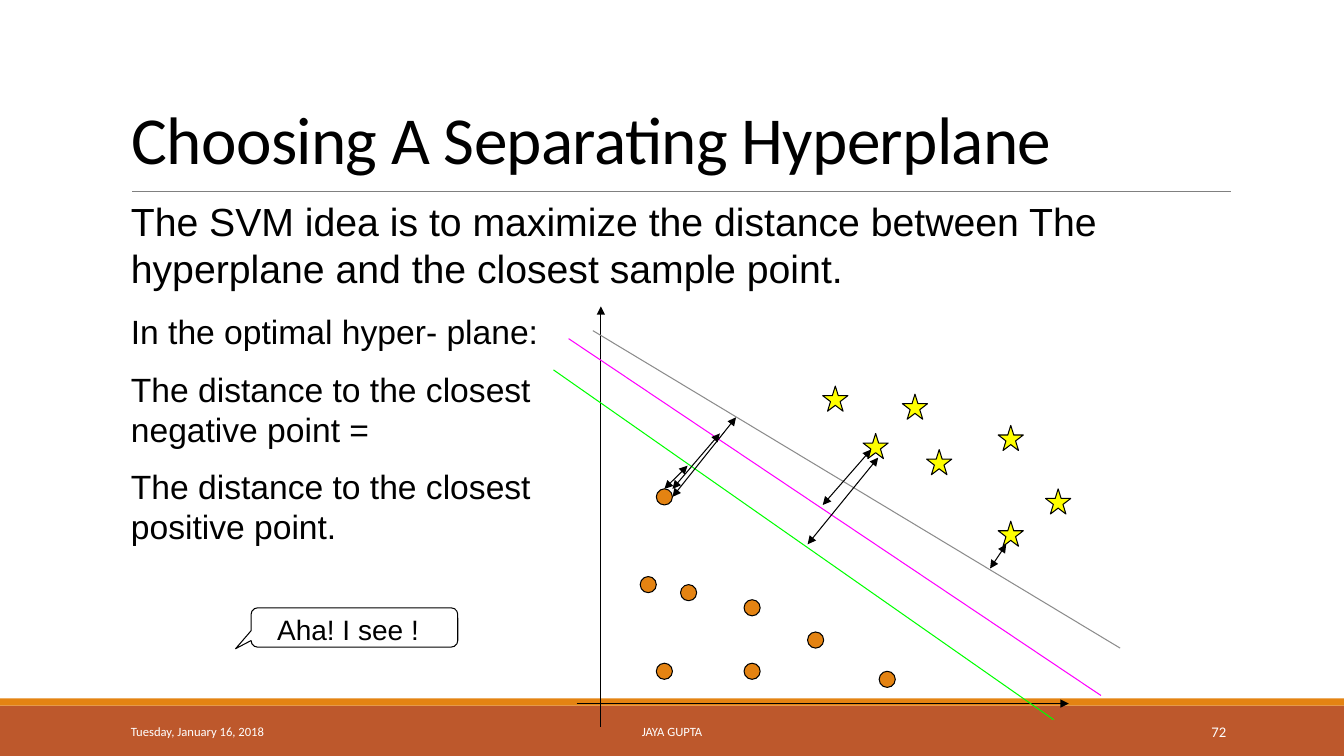
from lxml.etree import SubElement
from pptx import Presentation
from pptx.dml.color import RGBColor
from pptx.enum.shapes import MSO_CONNECTOR, MSO_SHAPE
from pptx.enum.text import MSO_ANCHOR, PP_ALIGN
from pptx.oxml.ns import qn
from pptx.util import Inches, Pt

# Content
TITLE = "Choosing A Separating Hyperplane"
IDEA = ["The SVM idea is to maximize the distance between The hyperplane "
        "and the closest sample point."]
OPTIMAL = [
    "In the optimal hyper- plane:",
    "The distance to the closest negative point =",
    "The distance to the closest positive point.",
]
REACTION = "Aha! I see !"
DATE, AUTHOR, PAGE = "Tuesday, January 16, 2018", "JAYA GUPTA", "72"

# Diagram data: top-left corners of the samples, (x1, y1, x2, y2) of the lines
NEGATIVE_SIZE, POSITIVE_SIZE = 0.16, 0.25
NEGATIVES = [(6.35, 5.72), (6.75, 5.8), (6.51, 6.58), (7.38, 5.95),
             (7.38, 6.58), (6.51, 4.85), (8.72, 6.66), (8.01, 6.27)]
POSITIVES = [(9.19, 4.46), (8.56, 4.3), (9.9, 4.22), (9.9, 5.17),
             (10.37, 4.85), (8.95, 3.91), (8.16, 3.83)]
AXES = [(5.72, 6.98, 10.6, 6.98), (5.96, 7.21, 5.96, 3.04)]
HYPERPLANES = {
    "green": (5.49, 3.67, 10.45, 7.14),
    "gray": (5.88, 3.28, 11.11, 6.43),
    "magenta": (5.64, 3.36, 10.92, 6.9),
}
DISTANCES = [
    (6.59, 4.85, 6.82, 4.62), (8.01, 5.4, 8.71, 4.54),
    (6.67, 4.93, 7.3, 4.14), (9.82, 5.64, 9.98, 5.4),
    (6.67, 4.85, 7.14, 4.3), (8.16, 5.01, 8.64, 4.46),
]

THEME = {
    "colors": {"black": "000000", "white": "FFFFFF", "rule": "808080",
               "footer": "BD582C", "orange": "E48312", "yellow": "FFFF00",
               "green": "00FF00", "gray": "8C8C8C", "magenta": "FF00FF"},
    "sizes": {"title": 48, "idea": 28, "optimal": 24, "reaction": 20,
              "footer": 9, "page": 10.5},
    "heading_font": "Calibri",
    "body_font": "Arial",
    "line": 0.75,
    "rule": 0.5,
}


def color(name):
    return RGBColor.from_string(THEME["colors"][name])


def add_line(ends, tint="black", width=THEME["line"], arrows=()):
    line = slide.shapes.add_connector(MSO_CONNECTOR.STRAIGHT, *map(Inches, ends))
    line.line.color.rgb = color(tint)
    line.line.width = Pt(width)
    for end in arrows:
        SubElement(line.line._get_or_add_ln(), qn(f"a:{end}"), type="triangle")
    SubElement(line._element.spPr, qn("a:effectLst"))


def add_figure(kind, box, fill, outlined=True):
    figure = slide.shapes.add_shape(kind, *map(Inches, box))
    figure.shadow.inherit = False
    figure.fill.solid()
    figure.fill.fore_color.rgb = color(fill)
    if outlined:
        figure.line.color.rgb = color("black")
        figure.line.width = Pt(THEME["line"])
    else:
        figure.line.fill.background()
    return figure


def add_text(box, lines, size, font=THEME["body_font"], tint="black",
             align=PP_ALIGN.LEFT, anchor=MSO_ANCHOR.TOP):
    frame = slide.shapes.add_textbox(*map(Inches, box)).text_frame
    frame.word_wrap = True
    frame.vertical_anchor = anchor
    frame.text = "\n".join(lines)
    points = THEME["sizes"][size]
    for index, paragraph in enumerate(frame.paragraphs):
        paragraph.alignment = align
        if index:
            paragraph.space_before = Pt(points / 2)
        for run in paragraph.runs:
            run.font.name = font
            run.font.size = Pt(points)
            run.font.color.rgb = color(tint)
    return frame


deck = Presentation()
deck.slide_width, deck.slide_height = Inches(13.33), Inches(7.5)
slide = deck.slides.add_slide(deck.slide_layouts[6])

# Title rule and footer bands
add_line((1.31, 1.9, 12.21, 1.9), "rule", THEME["rule"])
add_figure(MSO_SHAPE.RECTANGLE, (0, 7, 13.33, 0.5), "footer", outlined=False)
add_figure(MSO_SHAPE.RECTANGLE, (0, 6.93, 13.33, 0.07), "orange", outlined=False)

# Axes, samples, hyperplanes and distances
for axis in AXES:
    add_line(axis, arrows=["tailEnd"])
for kind, corners, size, fill in (
    (MSO_SHAPE.FLOWCHART_CONNECTOR, NEGATIVES, NEGATIVE_SIZE, "orange"),
    (MSO_SHAPE.STAR_5_POINT, POSITIVES, POSITIVE_SIZE, "yellow"),
):
    for left, top in corners:
        add_figure(kind, (left, top, size, size), fill)
for tint, ends in HYPERPLANES.items():
    add_line(ends, tint)
for ends in DISTANCES:
    add_line(ends, arrows=["headEnd", "tailEnd"])

# Body text
add_text((1.2, 1.91, 9.84, 1.03), IDEA, "idea")
add_text((1.2, 3.04, 4.52, 3.13), OPTIMAL, "optimal")

# Speech bubble
bubble = add_figure(MSO_SHAPE.ROUNDED_RECTANGULAR_CALLOUT,
                    (2.49, 6.03, 2.05, 0.39), "white")
for index, value in enumerate((-0.575, 0.54, 0.167)):
    bubble.adjustments[index] = value
add_text((2.65, 6.03, 2.84, 0.43), [REACTION], "reaction")

# Title
title = add_text((1.21, 1.04, 11, 1.59), [TITLE], "title", THEME["heading_font"])
title.paragraphs[0].line_spacing = 0.85
title.paragraphs[0].runs[0].font._element.set("spc", "-50")

# Footer
for left, width, label, size, align in (
    (1.2, 2.7, DATE, "footer", PP_ALIGN.LEFT),
    (4.03, 5.27, AUTHOR, "footer", PP_ALIGN.CENTER),
    (10.83, 1.43, PAGE, "page", PP_ALIGN.RIGHT),
):
    add_text((left, 7.06, width, 0.4), [label], size, THEME["heading_font"],
             "white", align, MSO_ANCHOR.MIDDLE)

deck.save("out.pptx")
